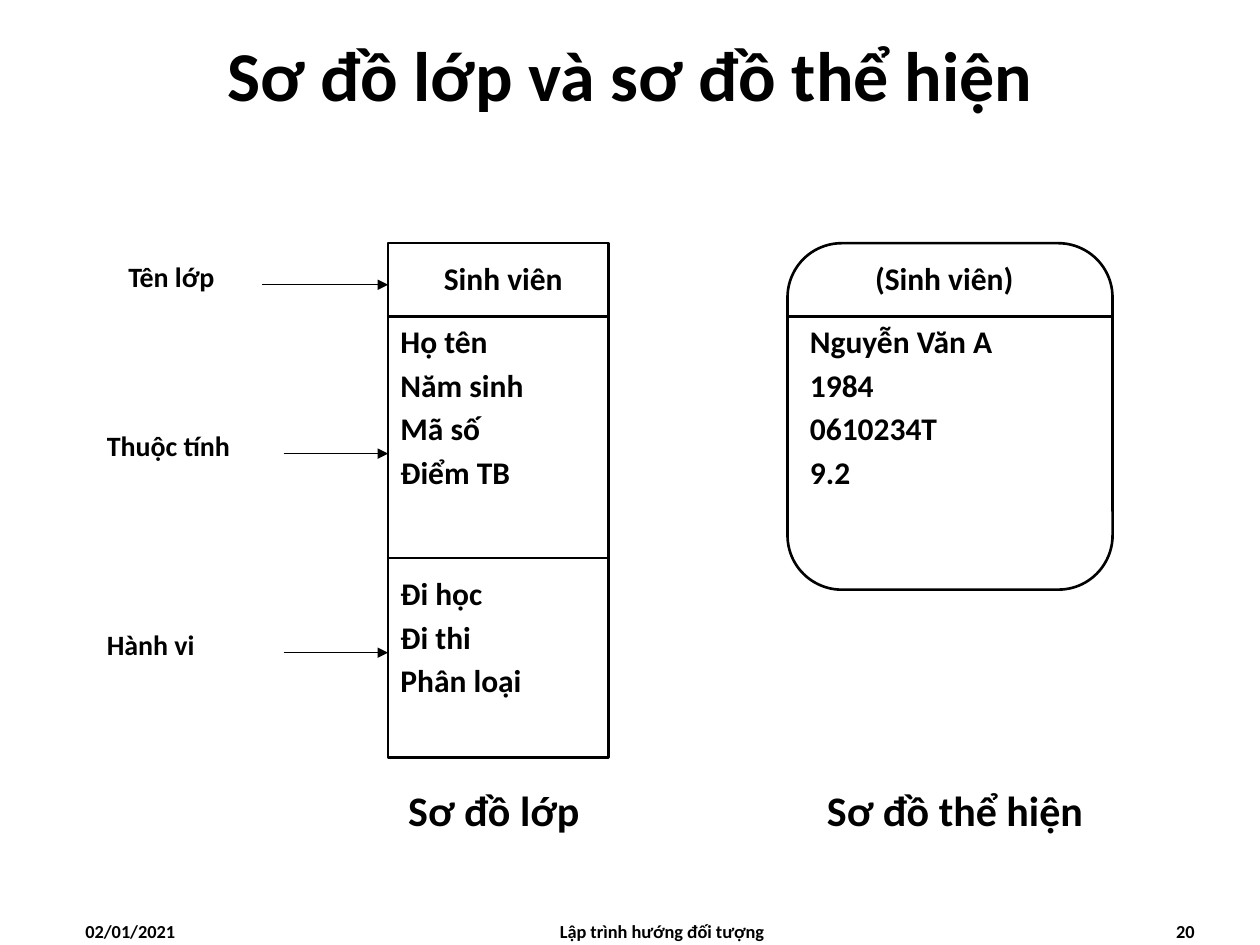
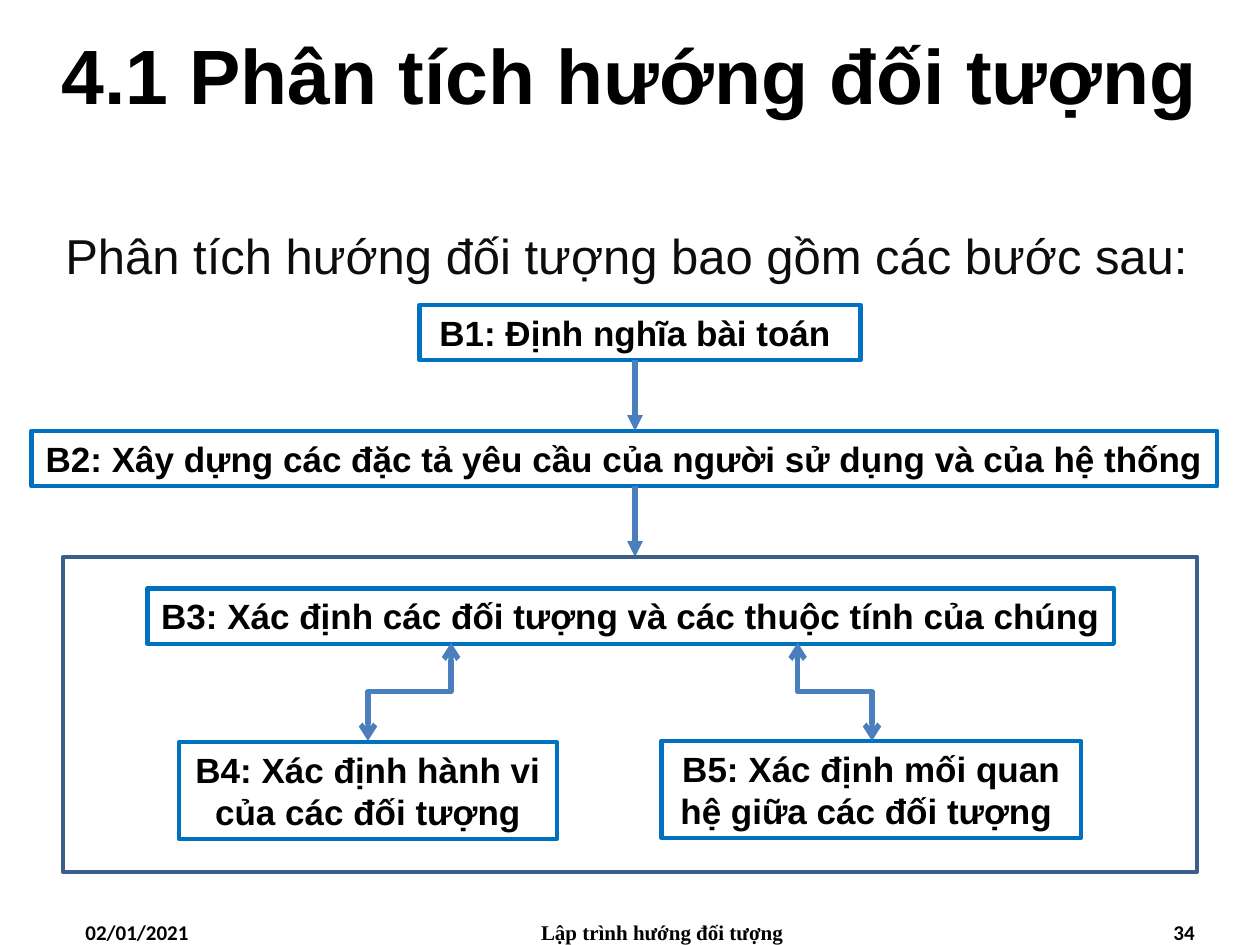
from lxml import etree
from pptx import Presentation
from pptx import util as u
from pptx.dml.color import RGBColor
from pptx.enum import shapes, text
from pptx.oxml.ns import qn

BLACK = "000000"
BODY_GREY = "0D0D0D"
STEP_BLUE = "0070C0"
ARROW_BLUE = "4B7EBC"
FRAME_BLUE = "3A5F8C"

LEFT = text.PP_ALIGN.LEFT
CENTER = text.PP_ALIGN.CENTER
RIGHT = text.PP_ALIGN.RIGHT
JUSTIFY = text.PP_ALIGN.JUSTIFY
TOP = text.MSO_ANCHOR.TOP
MIDDLE = text.MSO_ANCHOR.MIDDLE


def color(hex_string):
    return RGBColor.from_string(hex_string)


def inches(values):
    return [u.Inches(value) for value in values]


def write(shape, lines, size=18, font="Calibri", hex_color=BLACK, bold=True,
          align=LEFT, anchor=TOP, gap=0, line_spacing=None):
    """Fill a shape with one paragraph per line, gap points apart."""
    frame = shape.text_frame
    frame.word_wrap = True
    frame.vertical_anchor = anchor
    for index, line in enumerate(lines.split("\n")):
        paragraph = frame.add_paragraph() if index else frame.paragraphs[0]
        paragraph.alignment = align
        if index and gap:
            paragraph.space_before = u.Pt(gap)
        if line_spacing:
            paragraph.line_spacing = line_spacing
        run = paragraph.add_run()
        run.text = line
        run.font.size = u.Pt(size)
        run.font.name = font
        run.font.bold = bold
        run.font.color.rgb = color(hex_color)


class Deck:
    def __init__(self):
        self.presentation = Presentation()
        self.presentation.slide_width = u.Inches(10)
        self.presentation.slide_height = u.Inches(7.5)
        self.slide = None

    def new_slide(self, title, number, title_size, title_font,
                  footer_size, footer_font):
        layout = self.presentation.slide_layouts[6]
        self.slide = self.presentation.slides.add_slide(layout)
        self.text(title, 0, 0, 10, 1.17, size=title_size, font=title_font,
                  align=CENTER, anchor=MIDDLE)
        footers = [("02/01/2021", 0.58, 2.33, "Calibri", LEFT),
                   ("Lập trình hướng đối tượng", 3.67, 3.17, footer_font, CENTER),
                   (number, 7.25, 2.33, "Calibri", RIGHT)]
        for words, left, width, font, align in footers:
            self.text(words, left, 7.25, width, 0.25, size=footer_size,
                      font=font, align=align)

    def text(self, lines, left, top, width, height, **style):
        box = self.slide.shapes.add_textbox(*inches((left, top, width, height)))
        write(box, lines, **style)

    def outline(self, left, top, width, height, hex_color=BLACK, weight=1.5,
                kind=shapes.MSO_SHAPE.RECTANGLE):
        shape = self.slide.shapes.add_shape(
            kind, *inches((left, top, width, height)))
        shape.shadow.inherit = False
        shape.fill.background()
        shape.line.color.rgb = color(hex_color)
        shape.line.width = u.Pt(weight)
        return shape

    def step(self, lines, left, top, width, height=0.44):
        shape = self.outline(left, top, width, height, STEP_BLUE, 2.5)
        write(shape, lines, size=20, font="Arial", align=CENTER)

    def line(self, x1, y1, x2, y2, hex_color=BLACK, weight=1.5, head=None,
             tail=None, kind=shapes.MSO_CONNECTOR.STRAIGHT):
        connector = self.slide.shapes.add_connector(
            kind, *inches((x1, y1, x2, y2)))
        connector.line.color.rgb = color(hex_color)
        connector.line.width = u.Pt(weight)
        properties = connector._element.spPr
        outline = properties.find(qn("a:ln"))
        for tag, end in (("a:headEnd", head), ("a:tailEnd", tail)):
            if end:
                etree.SubElement(outline, qn(tag), type=end)
        etree.SubElement(properties, qn("a:effectLst"))
        return connector

    def elbow(self, x1, y1, x2, y2):
        """Two-headed elbow that leaves downwards: a sideways one, turned."""
        length, span = y2 - y1, abs(x2 - x1)
        left = (x1 + x2 - length) / 2
        top = (y1 + y2 - span) / 2
        connector = self.line(left, top, left + length, top + span, ARROW_BLUE, 3,
                              "arrow", "arrow", shapes.MSO_CONNECTOR.ELBOW)
        transform = connector._element.spPr.find(qn("a:xfrm"))
        if x2 > x1:
            transform.set("rot", str(270 * 60000))
            transform.set("flipH", "1")
        else:
            transform.set("rot", str(90 * 60000))


def class_diagram_slide(deck):
    deck.new_slide("Sơ đồ lớp và sơ đồ thể hiện", "20", 40, "Calibri",
                   10.5, "Calibri")

    class_left, class_width = 3.08, 1.75
    compartments = [
        ("Sinh viên", 1.93, 0.58, 2.01, 0.4, CENTER),
        ("Họ tên\nNăm sinh\nMã số\nĐiểm TB", 2.51, 1.92, 2.51, 1.49, LEFT),
        ("Đi học\nĐi thi\nPhân loại", 4.43, 1.58, 4.51, 1.17, LEFT)]
    for lines, top, height, text_top, text_height, align in compartments:
        deck.text(lines, class_left, text_top, 1.83, text_height,
                  align=align, gap=3.2)
        deck.outline(class_left, top, class_width, height)

    deck.text("(Sinh viên)", 6.33, 2.01, 2.33, 0.4, align=CENTER)
    deck.text("Nguyễn Văn A\n1984\n0610234T\n9.2", 6.33, 2.51, 2.5, 1.49, gap=3.2)
    instance = deck.outline(6.25, 1.93, 2.58, 2.75,
                            kind=shapes.MSO_SHAPE.ROUNDED_RECTANGLE)
    instance.adjustments[0] = 0.167
    deck.line(6.25, 2.51, 8.83, 2.51)

    labels = [("Tên lớp", 0.92, 1.17, 2.08, 2.26),
              ("Thuộc tính", 0.75, 1.83, 2.25, 3.6),
              ("Hành vi", 0.75, 1.5, 2.25, 5.18)]
    for words, left, width, arrow_left, arrow_y in labels:
        deck.line(arrow_left, arrow_y, class_left, arrow_y, weight=0.75,
                  tail="triangle")
        deck.text(words, left, arrow_y - 0.25, width, 0.37, size=16)

    for caption, left in (("Sơ đồ lớp", 2.67), ("Sơ đồ thể hiện", 6.33)):
        deck.text(caption, left, 6.18, 2.5, 0.5, size=24, align=CENTER)


def analysis_steps_slide(deck):
    deck.new_slide("4.1 Phân tích hướng đối tượng", "34", 44, "Arial",
                   12, "Times New Roman")
    deck.text("Phân tích hướng đối tượng bao gồm các bước sau:",
              0.42, 1.6, 9.25, 0.75, size=28, font="Arial", bold=False,
              hex_color=BODY_GREY, align=JUSTIFY, line_spacing=1.3)

    deck.step("B3: Xác định các đối tượng và các thuộc tính của chúng",
              1.17, 4.67, 7.67)
    deck.step("B2: Xây dựng các đặc tả yêu cầu của người sử dụng và của hệ thống ",
              0.25, 3.42, 9.41)
    deck.step("B1: Định nghĩa bài toán ", 3.33, 2.42, 3.5)
    deck.step("B4: Xác định hành vi\ncủa các đối tượng", 1.42, 5.89, 3, 0.77)
    deck.step("B5: Xác định mối quan hệ giữa các đối tượng ",
              5.25, 5.88, 3.33, 0.77)

    for start, end in ((2.86, 3.42), (3.86, 4.42)):
        deck.line(5.04, start, 5.04, end, ARROW_BLUE, 3, tail="triangle")
    for start, end in ((6.33, 6.92), (3.58, 2.92)):
        deck.elbow(start, 5.1, end, 5.88)
    deck.outline(0.5, 4.42, 9, 2.5, FRAME_BLUE, 2.5)


def main():
    deck = Deck()
    class_diagram_slide(deck)
    analysis_steps_slide(deck)
    deck.presentation.save("out.pptx")


if __name__ == "__main__":
    main()
